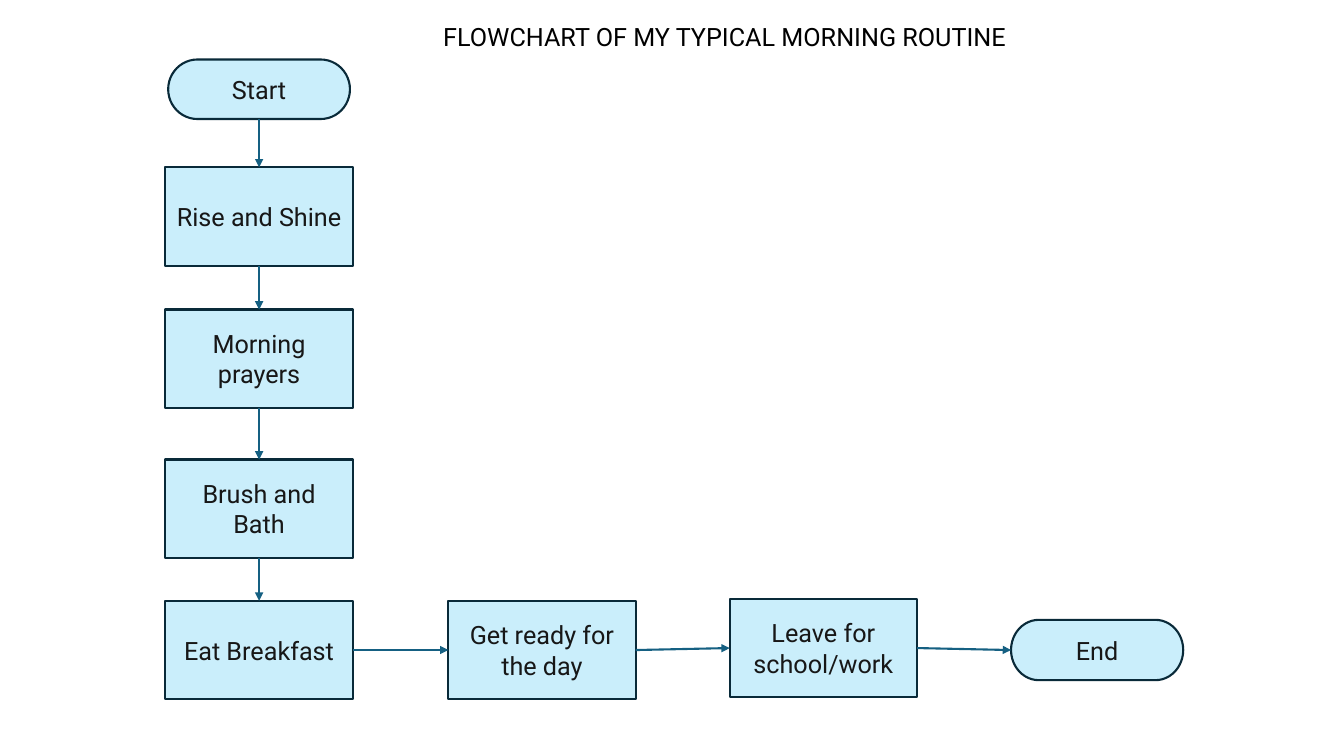
import pptx
import pptx.util
import pptx.dml.color
import pptx.enum.shapes
import pptx.enum.text
import pptx.oxml
import pptx.oxml.ns

Cm = pptx.util.Cm
Pt = pptx.util.Pt
MSO_SHAPE = pptx.enum.shapes.MSO_SHAPE
PP_ALIGN = pptx.enum.text.PP_ALIGN

TOP, LEFT, BOTTOM, RIGHT = range(4)  # connection sites
STEP_LEFT, STEP_W, STEP_H = 4.17, 4.72, 2.48
COLUMN_STEPS = [
    ("Rise and Shine", 4.22),
    ("Morning prayers", 7.8),
    ("Brush and Bath", 11.58),
    ("Eat Breakfast", 15.14),
]
ROW_STEPS = [
    ("Get ready for the day", 11.3, 15.14),
    ("Leave for school/work", 18.39, 15.09),
]


def rgb(color):
    return pptx.dml.color.RGBColor.from_string(color)


def write_text(tf, text, color, align):
    tf.word_wrap = True
    p = tf.paragraphs[0]
    p.alignment = align
    r = p.add_run()
    r.text = text
    r.font.name = "Roboto"
    r.font.size = Pt(18)
    r.font.color.rgb = rgb(color)


def add_node(s, kind, text, x, y, w, h):
    sp = s.shapes.add_shape(kind, Cm(x), Cm(y), Cm(w), Cm(h))
    sp.shadow.inherit = False
    sp.fill.solid()
    sp.fill.fore_color.rgb = rgb("CAEEFB")
    sp.line.color.rgb = rgb("092A39")
    sp.line.width = Pt(1.5)
    sp.text_frame.vertical_anchor = pptx.enum.text.MSO_ANCHOR.MIDDLE
    write_text(sp.text_frame, text, "171717", PP_ALIGN.CENTER)
    return sp


def add_terminator(s, text, x, y, w, h):
    return add_node(s, MSO_SHAPE.FLOWCHART_TERMINATOR, text, x, y, w, h)


def add_step(s, text, x, y):
    return add_node(s, MSO_SHAPE.FLOWCHART_PROCESS, text, x, y, STEP_W, STEP_H)


def add_arrow(s, source, target, exit_site, entry_site):
    """Join two nodes at the given connection sites."""
    line = s.shapes.add_connector(
        pptx.enum.shapes.MSO_CONNECTOR.STRAIGHT, 0, 0, 0, 0)
    line.begin_connect(source, exit_site)
    line.end_connect(target, entry_site)
    line.line.color.rgb = rgb("156082")
    line.line.width = Pt(1.5)
    ns = pptx.oxml.ns.nsdecls("a")
    line.line._get_or_add_ln().append(
        pptx.oxml.parse_xml(f'<a:tailEnd {ns} type="triangle"/>'))
    line._element.spPr.append(pptx.oxml.parse_xml(f"<a:effectLst {ns}/>"))


def add_chain(s, nodes, exit_site, entry_site):
    """Link each node to the next one."""
    for source, target in zip(nodes, nodes[1:]):
        add_arrow(s, source, target, exit_site, entry_site)


def add_title(s, text):
    box = s.shapes.add_textbox(Cm(10.92), Cm(0.41), Cm(14.96), Cm(1.02))
    write_text(box.text_frame, text, "000000", PP_ALIGN.LEFT)
    box.text_frame.auto_size = pptx.enum.text.MSO_AUTO_SIZE.SHAPE_TO_FIT_TEXT


def main():
    prs = pptx.Presentation()
    prs.slide_width, prs.slide_height = Cm(33.87), Cm(19.05)
    s = prs.slides.add_slide(prs.slide_layouts[6])

    column = [add_terminator(s, "Start", 4.24, 1.5, 4.58, 1.5)]
    column += [add_step(s, text, STEP_LEFT, y) for text, y in COLUMN_STEPS]
    row = [column[-1]]
    row += [add_step(s, text, x, y) for text, x, y in ROW_STEPS]
    row.append(add_terminator(s, "End", 25.48, 15.62, 4.34, 1.52))

    add_chain(s, column, BOTTOM, TOP)
    add_chain(s, row, RIGHT, LEFT)
    add_title(s, "FLOWCHART OF MY TYPICAL MORNING ROUTINE")
    prs.save("out.pptx")


if __name__ == "__main__":
    main()
